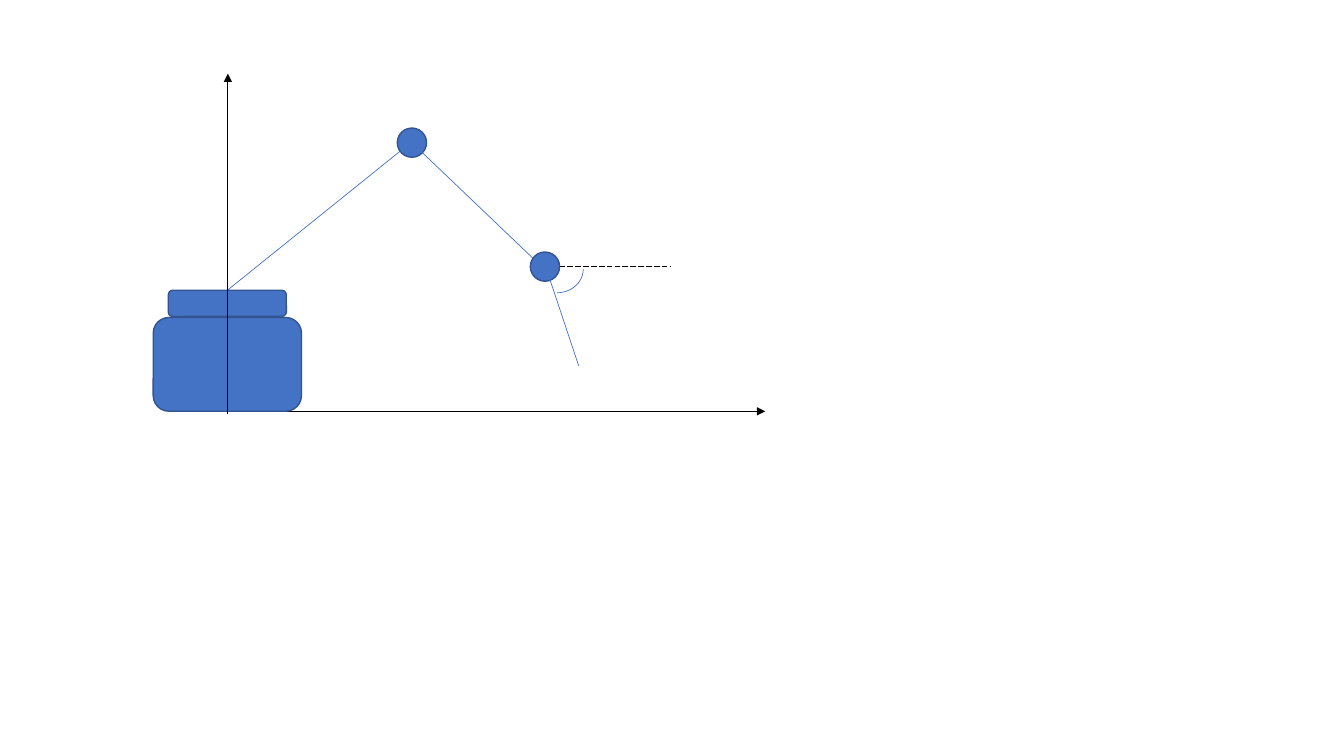
from dataclasses import dataclass

from pptx import Presentation
from pptx.dml.color import RGBColor
from pptx.enum.dml import MSO_LINE
from pptx.enum.shapes import MSO_CONNECTOR, MSO_SHAPE
from pptx.oxml.ns import qn
from pptx.util import Inches, Pt
from lxml.etree import SubElement


@dataclass(frozen=True)
class Theme:
    blue: RGBColor = RGBColor(0x44, 0x72, 0xC4)
    outline: RGBColor = RGBColor(0x32, 0x54, 0x91)
    axis: RGBColor = RGBColor(0, 0, 0)
    thin: Pt = Pt(0.5)
    border: Pt = Pt(1)


THEME = Theme()
JOINT_SIZE = 0.29
TOP, BOTTOM = 0, 2


def add_line(slide, start, end, color, dash=None, arrow=False):
    points = [Inches(value) for value in (*start, *end)]
    line = slide.shapes.add_connector(MSO_CONNECTOR.STRAIGHT, *points)
    line.line.color.rgb = color
    line.line.width = THEME.thin
    if dash:
        line.line.dash_style = dash
    properties = line._element.spPr
    if arrow:
        SubElement(properties.find(qn("a:ln")), qn("a:tailEnd"), type="triangle")
    SubElement(properties, qn("a:effectLst"))
    return line


def add_solid(slide, kind, left, top, width, height):
    solid = slide.shapes.add_shape(kind, *map(Inches, (left, top, width, height)))
    solid.shadow.inherit = False
    solid.fill.solid()
    solid.fill.fore_color.rgb = THEME.blue
    solid.line.color.rgb = THEME.outline
    solid.line.width = THEME.border
    return solid


def add_joint(slide, left, top):
    return add_solid(slide, MSO_SHAPE.OVAL, left, top, JOINT_SIZE, JOINT_SIZE)


def draw_arm(slide, left, top):
    """Draw the jointed arm in a box at left, top; return its first link."""
    def at(x, y):
        return left + x, top + y

    # Links and joints
    elbow_centre = at(1.82, 0.14)
    upper_arm = add_line(slide, at(0, 1.6), elbow_centre, THEME.blue)
    add_joint(slide, *at(1.68, 0))
    add_line(slide, at(3.17, 1.43), elbow_centre, THEME.blue)
    add_joint(slide, *at(3, 1.23))
    add_line(slide, at(3.48, 2.36), at(3.15, 1.37), THEME.blue)

    # Wrist angle below the horizontal
    add_line(slide, at(3.29, 1.37), at(4.39, 1.37), THEME.axis, MSO_LINE.LONG_DASH)
    arc_box = (*at(3.03, 1.14), 0.47, 0.52)
    wrist_angle = slide.shapes.add_shape(MSO_SHAPE.ARC, *map(Inches, arc_box))
    wrist_angle.rotation = 90
    wrist_angle.shadow.inherit = False
    wrist_angle.fill.background()
    wrist_angle.line.color.rgb = THEME.blue
    wrist_angle.line.width = THEME.thin
    return upper_arm


def draw_base(slide, left, top, upper_arm):
    """Draw the axes and the base in a box at left, top; attach the arm."""
    def at(x, y):
        return left + x, top + y

    ground = 3.35
    x_axis = add_line(slide, at(0.73, ground), at(6.07, ground), THEME.axis, arrow=True)
    turntable = add_solid(slide, MSO_SHAPE.ROUNDED_RECTANGLE, *at(0.15, 2.15), 1.17, 0.26)
    body = add_solid(slide, MSO_SHAPE.ROUNDED_RECTANGLE, *at(0, 2.42), 1.47, 0.93)
    x_axis.begin_connect(body, BOTTOM)
    upper_arm.begin_connect(turntable, TOP)
    add_line(slide, at(0.74, 3.38), at(0.74, 0), THEME.axis, arrow=True)


def main():
    deck = Presentation()
    deck.slide_width = Inches(13.33)
    deck.slide_height = Inches(7.5)
    slide = deck.slides.add_slide(deck.slide_layouts[6])
    upper_arm = draw_arm(slide, 2.26, 1.27)
    draw_base(slide, 1.52, 0.73, upper_arm)
    deck.save("out.pptx")


if __name__ == "__main__":
    main()
